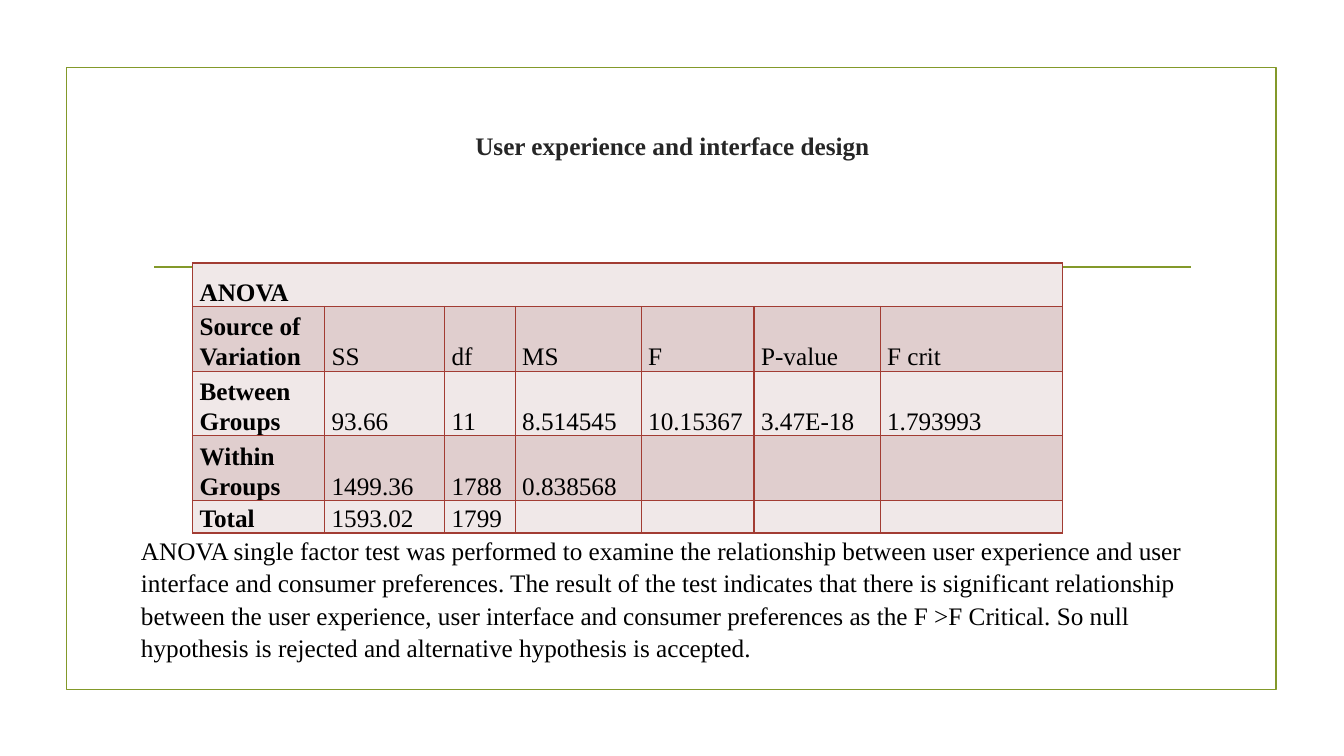
from lxml.etree import SubElement as Sub
from pptx import Presentation
from pptx.dml.color import RGBColor
from pptx.enum.shapes import MSO_CONNECTOR as Link, MSO_SHAPE as Shape
from pptx.enum.text import MSO_ANCHOR as Anchor, MSO_AUTO_SIZE as Auto, PP_ALIGN as Align
from pptx.oxml.ns import qn
from pptx.util import Inches, Pt

# Content
TITLE = "User experience and interface design"
ROWS = [
    ["ANOVA"],
    ["Source of Variation", "SS", "df", "MS", "F", "P-value", "F crit"],
    ["Between Groups", "93.66", "11", "8.514545", "10.15367", "3.47E-18", "1.793993"],
    ["Within Groups", "1499.36", "1788", "0.838568"],
    ["Total", "1593.02", "1799"],
]
NOTE = (
    "ANOVA single factor test was performed to examine the relationship between "
    "user experience and user interface and consumer preferences. The result of the "
    "test indicates that there is significant relationship between the user "
    "experience, user interface and consumer preferences as the F >F Critical. So "
    "null hypothesis is rejected and alternative hypothesis is accepted."
)

# Layout and format
WIDTHS = [1.31, 1.19, 0.7, 1.25, 1.12, 1.25, 1.81]
HEIGHTS = [0.43, 0.59, 0.59, 0.59, 0.29]
GREEN = RGBColor(0x83, 0x99, 0x2A)
DARK = RGBColor(0x26, 0x26, 0x26)
BLACK = RGBColor(0, 0, 0)
RED = "A23C33"
BANDS = [RGBColor(0xF0, 0xE8, 0xE8), RGBColor(0xE0, 0xCE, 0xCE)]
FONT = {"name": "Times New Roman", "size": Pt(18)}
BODY = {"line_spacing": 1.07, "space_after": Pt(8)}
CELL = {
    "margin_left": Inches(0.07), "margin_right": Inches(0.07),
    "margin_top": 0, "margin_bottom": 0, "vertical_anchor": Anchor.BOTTOM,
}


def apply(item, style):
    for key, value in style.items():
        setattr(item, key, value)


def write(frame, text, para, color=BLACK, bold=False):
    line = frame.paragraphs[0]
    apply(line, para)
    if text:
        run = line.add_run()
        run.text = text
        apply(run.font, {**FONT, "bold": bold})
        run.font.color.rgb = color


def stroke(item):
    item.line.color.rgb = GREEN
    item.line.width = Pt(1.25)


def edge(cell):
    props = cell._tc.get_or_add_tcPr()
    for spot, side in enumerate(("lnL", "lnR", "lnT", "lnB")):
        line = Sub(props, qn("a:" + side), w=str(Pt(1)))
        Sub(Sub(line, qn("a:solidFill")), qn("a:srgbClr"), val=RED)
        props.remove(line)
        props.insert(spot, line)


def add_box(slide, place, style):
    frame = slide.shapes.add_textbox(*map(Inches, place)).text_frame
    apply(frame, {"word_wrap": True, **style})
    return frame


deck = Presentation()
deck.slide_width, deck.slide_height = Inches(13.33), Inches(7.5)
slide = deck.slides.add_slide(deck.slide_layouts[6])

# Frame and rule
border = slide.shapes.add_shape(Shape.RECTANGLE, *map(Inches, (0.66, 0.67, 12, 6.17)))
border.shadow.inherit = False
border.fill.background()
stroke(border)
rule = slide.shapes.add_connector(Link.STRAIGHT, *map(Inches, (1.53, 2.65, 11.81, 2.65)))
Sub(rule._element.spPr, qn("a:effectLst"))
stroke(rule)

# Title, raised by a deep bottom margin
head = add_box(slide, (1.42, 1.07, 10.5, 1.43),
               {"vertical_anchor": Anchor.MIDDLE, "margin_bottom": Inches(0.74)})
write(head, TITLE, {"alignment": Align.CENTER}, DARK, True)

# Table
place = map(Inches, (1.91, 2.61, sum(WIDTHS), sum(HEIGHTS)))
table = slide.shapes.add_table(len(ROWS), len(WIDTHS), *place).table
for col, width in zip(table.columns, WIDTHS):
    col.width = Inches(width)
for r, (row, height) in enumerate(zip(ROWS, HEIGHTS)):
    table.rows[r].height = Inches(height)
    for c in range(len(WIDTHS)):
        cell = table.cell(r, c)
        apply(cell, CELL)
        cell.fill.solid()
        cell.fill.fore_color.rgb = BANDS[r % 2]
        edge(cell)
        write(cell.text_frame, row[c] if c < len(row) else "", BODY, bold=c == 0)
table.cell(0, 0).merge(table.cell(0, len(WIDTHS) - 1))

# Finding
note = add_box(slide, (1.3, 5.24, 11.11, 1.38), {"auto_size": Auto.SHAPE_TO_FIT_TEXT})
write(note, NOTE, BODY)

deck.save("out.pptx")
